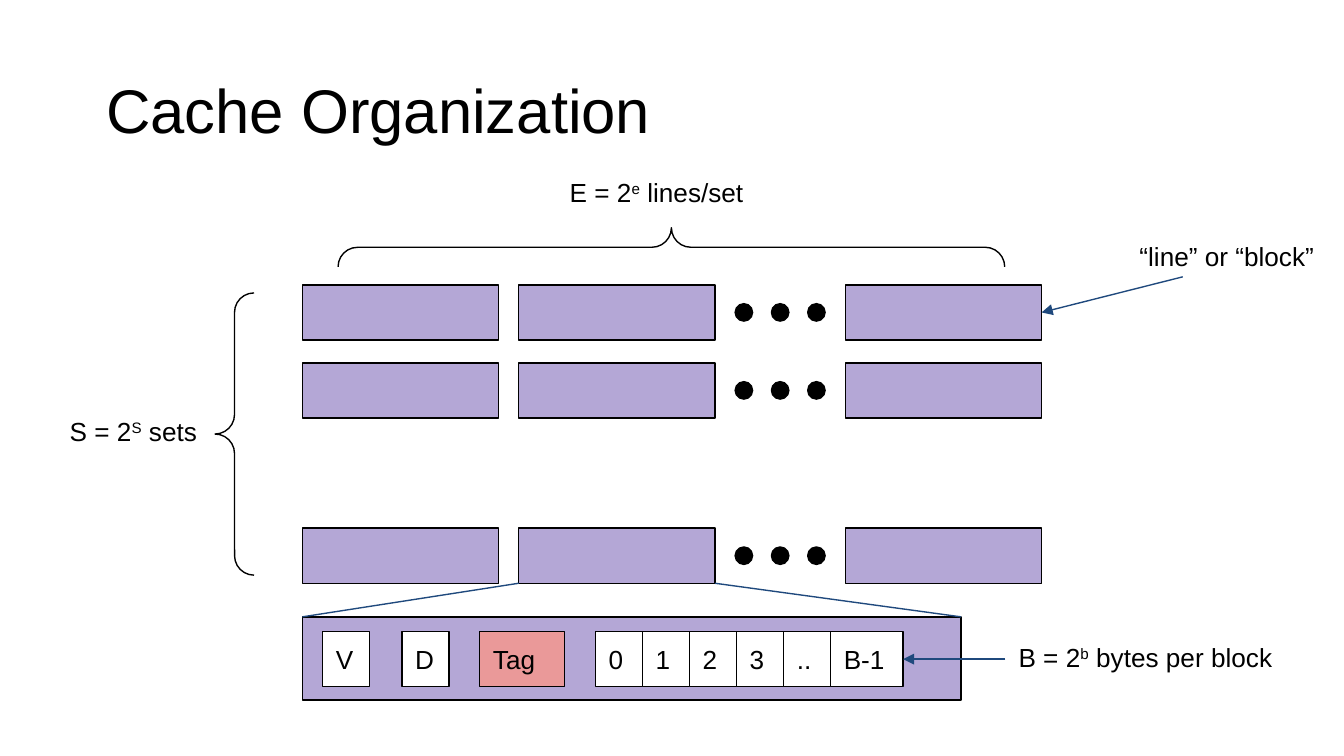
from dataclasses import dataclass

from lxml.etree import SubElement
from pptx import Presentation
from pptx.dml.color import RGBColor
from pptx.enum.shapes import MSO_CONNECTOR, MSO_SHAPE
from pptx.enum.text import MSO_ANCHOR, PP_ALIGN
from pptx.oxml.ns import qn
from pptx.util import Inches, Pt


@dataclass(frozen=True)
class Theme:
    font: str = "Arial"
    title: float = 33
    label: float = 14
    stroke: float = 0.75
    ink: str = "000000"
    block: str = "B4A7D6"
    tag: str = "EA9999"
    cell: str = "FFFFFF"
    arrow: str = "1F497D"


T = Theme()

# Grid, in inches
BLOCK_W, BLOCK_H, GAP = 1.46, 0.41, 0.15
LEFT = 2.25
BLOCK_COLS = [LEFT, LEFT + BLOCK_W + GAP, 6.29]
SET_ROWS = [2.12, 2.7, 3.93]
DOT, DOT_LEFT, DOT_STEP = 0.13, 5.47, 0.27
DETAIL_TOP, DETAIL_W, DETAIL_H = 4.59, 4.9, 0.62
CELL_TOP, CELL_W, BYTES_LEFT = 4.7, 0.35, 4.43
LABEL_H = 0.48


def write(shape, text, size=T.label, anchor=MSO_ANCHOR.TOP, inset=0.1, spacing=None):
    """Fill a shape with left-aligned text; ^marks^ enclose a superscript."""
    tf = shape.text_frame
    tf.word_wrap = True
    tf.vertical_anchor = anchor
    tf.margin_left = tf.margin_right = Inches(0.1)
    tf.margin_top = tf.margin_bottom = Inches(inset)
    p = tf.paragraphs[0]
    p.alignment = PP_ALIGN.LEFT
    p.line_spacing = spacing
    for i, part in enumerate(text.split("^")):
        r = p.add_run()
        r.text = part
        r.font.name = T.font
        r.font.size = Pt(size)
        r.font.color.rgb = RGBColor.from_string(T.ink)
        if i % 2:
            r._r.get_or_add_rPr().set("baseline", "30000")


def add_outlined(shapes, kind, x, y, w, h, fill=None):
    sp = shapes.add_shape(kind, Inches(x), Inches(y), Inches(w), Inches(h))
    sp.shadow.inherit = False
    sp.line.color.rgb = RGBColor.from_string(T.ink)
    sp.line.width = Pt(T.stroke)
    if fill:
        sp.fill.solid()
        sp.fill.fore_color.rgb = RGBColor.from_string(fill)
    else:
        sp.fill.background()
    return sp


prs = Presentation()
prs.slide_width = Inches(10)
prs.slide_height = prs.slide_width * 9 // 16
s = prs.slides.add_slide(prs.slide_layouts[5])

title = s.shapes.title
title.left, title.top = Inches(0.69), Inches(0.3)
title.width, title.height = Inches(8.62), Inches(1.09)
write(title, "Cache Organization", size=T.title, anchor=MSO_ANCHOR.MIDDLE,
      inset=0.05, spacing=0.9)

# Sets of blocks, with dots before the last column
sets = s.shapes.add_group_shape().shapes
set_ends = []
for y in SET_ROWS:
    for x in BLOCK_COLS:
        block = add_outlined(sets, MSO_SHAPE.RECTANGLE, x, y, BLOCK_W, BLOCK_H, T.block)
    set_ends.append(block)
    for i in range(3):
        add_outlined(sets, MSO_SHAPE.OVAL, DOT_LEFT + i * DOT_STEP,
                     y + (BLOCK_H - DOT) / 2, DOT, DOT, T.ink)

# Braces around the sets and the lines
for x, y, h, turn in [(1.6, 2.18, 2.1, 0), (4.85, -0.64, 4.96, 90)]:
    brace = add_outlined(s.shapes, MSO_SHAPE.LEFT_BRACE, x, y, 0.29, h)
    brace.adjustments[0] = brace.adjustments[1] = 0.5
    brace.rotation = turn

# One block in detail
detail = s.shapes.add_group_shape().shapes
add_outlined(detail, MSO_SHAPE.RECTANGLE, LEFT, DETAIL_TOP, DETAIL_W, DETAIL_H, T.block)
cells = [("V", 2.4, CELL_W, T.cell), ("D", 2.99, CELL_W, T.cell), ("Tag", 3.57, 0.63, T.tag)]
cells += [(text, BYTES_LEFT + i * CELL_W, CELL_W, T.cell)
          for i, text in enumerate(["0", "1", "2", "3", ".."])]
cells.append(("B-1", BYTES_LEFT + 5 * CELL_W, 0.54, T.cell))
for text, x, w, fill in cells:
    cell = add_outlined(detail, MSO_SHAPE.RECTANGLE, x, CELL_TOP, w, BLOCK_H, fill)
    write(cell, text, anchor=MSO_ANCHOR.MIDDLE)
last_byte = cell

for text, x, y, w in [
    ("S = 2^S^ sets", 0.42, 2.99, 1.19),
    ("E = 2^e^ lines/set", 4.14, 1.21, 1.72),
    ("“line” or “block”", 8.38, 1.69, 1.62),
    ("B = 2^b^ bytes per block", 7.48, 4.67, 2.41),
]:
    write(s.shapes.add_textbox(Inches(x), Inches(y), Inches(w), Inches(LABEL_H)), text)

# Zoom lines, and arrows that end on the right side of a target
zoom_top = SET_ROWS[2] + BLOCK_H
cell_mid = CELL_TOP + BLOCK_H / 2
for x1, y1, x2, y2, target in [
    (LEFT, DETAIL_TOP, BLOCK_COLS[1], zoom_top, None),
    (BLOCK_COLS[1] + BLOCK_W, zoom_top, LEFT + DETAIL_W, DETAIL_TOP, None),
    (8.8, 2.06, 7.75, 2.33, set_ends[0]),
    (7.48, cell_mid, 6.72, cell_mid, last_byte),
]:
    line = s.shapes.add_connector(MSO_CONNECTOR.STRAIGHT, Inches(x1), Inches(y1),
                                  Inches(x2), Inches(y2))
    line.line.color.rgb = RGBColor.from_string(T.arrow)
    line.line.width = Pt(T.stroke)
    if target is not None:
        line.end_connect(target, 3)
        SubElement(line.line._get_or_add_ln(), qn("a:tailEnd"), type="triangle")
    SubElement(line._element.spPr, qn("a:effectLst"))

prs.save("out.pptx")
